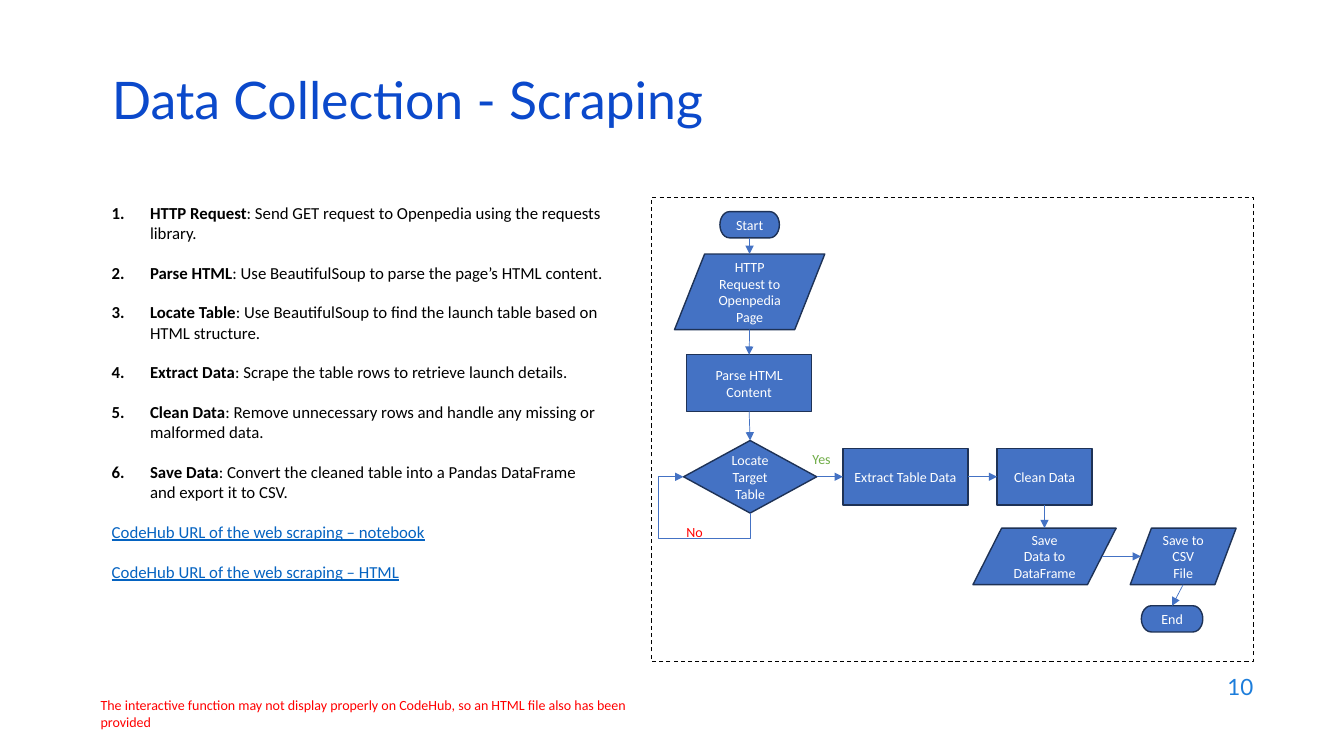
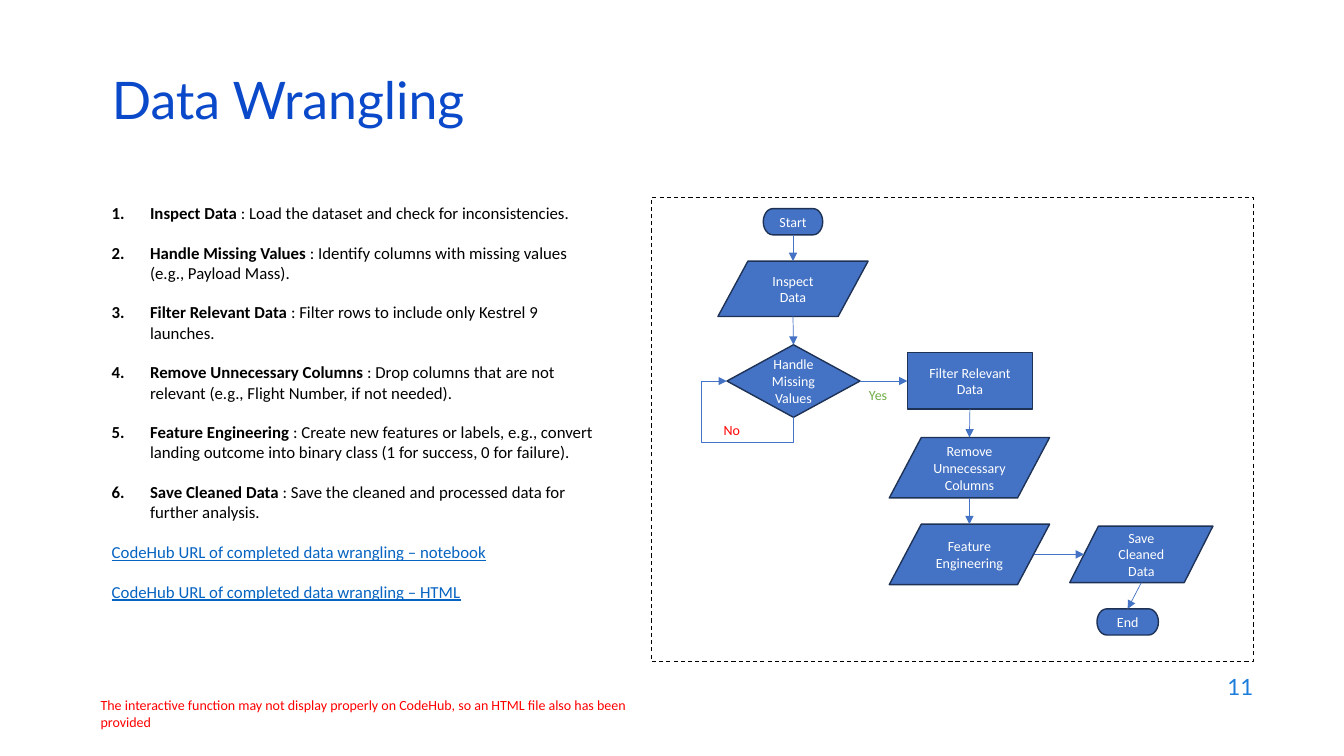
from lxml.etree import SubElement
from pptx import Presentation
from pptx.dml.color import RGBColor
from pptx.enum.dml import MSO_LINE
from pptx.enum.shapes import MSO_CONNECTOR as LINK, MSO_SHAPE as SHAPE
from pptx.enum.text import MSO_ANCHOR as ANCHOR, MSO_AUTO_SIZE as FIT, PP_ALIGN as ALIGN
from pptx.oxml.ns import qn
from pptx.util import Inches, Pt

# Colours
TITLE_BLUE = RGBColor(0x0B, 0x49, 0xCB)
NUMBER_BLUE = RGBColor(0x1C, 0x7D, 0xDB)
NODE_BLUE = RGBColor(0x44, 0x72, 0xC4)
NODE_EDGE = RGBColor(0x1E, 0x32, 0x56)
LINK_BLUE = RGBColor(0x05, 0x63, 0xC1)
BLACK = RGBColor(0, 0, 0)
WHITE = RGBColor(255, 255, 255)
RED = RGBColor(255, 0, 0)
GREEN = RGBColor(0x70, 0xAD, 0x47)

# Text formats
TITLE = {"name": "Lato", "size": Pt(37), "color": TITLE_BLUE}
NUMBER = {"name": "Lato", "size": Pt(16), "color": NUMBER_BLUE}
BODY = {"name": "Calibri", "size": Pt(12), "color": BLACK}
STRONG = {**BODY, "bold": True}
URL = {**BODY, "color": LINK_BLUE, "underline": True}
NODE = {"name": "Calibri", "size": Pt(10), "color": WHITE}
NOTE = {**NODE, "color": RED}
YES = {**NODE, "color": GREEN}

# Flowchart vocabulary
ENDPOINT = SHAPE.FLOWCHART_TERMINATOR
DATA = SHAPE.FLOWCHART_DATA
PROCESS = SHAPE.FLOWCHART_PROCESS
DECISION = SHAPE.FLOWCHART_DECISION
TOP, LEFT, BOTTOM, RIGHT = range(4)
SLANT = 0.1  # inset of a parallelogram's side at mid height
LOOP_GAP = 0.25

FOOTNOTE = ("The interactive function may not display properly on CodeHub, "
            "so an HTML file also has been provided")

# Content; nodes are kind, left, top, width, height, text
SLIDES = [
    {
        "title": "Data Collection - Scraping",
        "number": "10",
        "topic": "the web scraping",
        "steps": [
            ("HTTP Request", ": Send GET request to Openpedia using the requests library."),
            ("Parse HTML", ": Use BeautifulSoup to parse the page’s HTML content."),
            ("Locate Table", ": Use BeautifulSoup to find the launch table based on HTML structure."),
            ("Extract Data", ": Scrape the table rows to retrieve launch details."),
            ("Clean Data", ": Remove unnecessary rows and handle any missing or malformed data."),
            ("Save Data", ": Convert the cleaned table into a Pandas DataFrame and export it to CSV."),
        ],
        "nodes": {
            "start": (ENDPOINT, 7.14, 2.1, 0.59, 0.26, "Start"),
            "request": (DATA, 6.69, 2.52, 1.49, 0.75, "HTTP Request to Openpedia Page"),
            "parse": (PROCESS, 6.81, 3.52, 1.24, 0.56, "Parse HTML Content"),
            "decision": (DECISION, 6.78, 4.37, 1.32, 0.72, "Locate Target Table"),
            "extract": (PROCESS, 8.36, 4.45, 1.24, 0.56, "Extract Table Data"),
            "clean": (PROCESS, 9.89, 4.45, 0.94, 0.56, "Clean Data"),
            "frame": (DATA, 9.65, 5.24, 1.42, 0.56, "Save\nData to DataFrame"),
            "csv": (DATA, 11.21, 5.24, 1.05, 0.56, "Save to CSV File"),
            "end": (ENDPOINT, 11.32, 6.01, 0.61, 0.26, "End"),
        },
        "down": ["start request", "request parse", "parse decision", "clean frame", "csv end"],
        "across": ["decision extract", "extract clean", "frame csv"],
        "no": (6.71, 5.14),
        "yes": (7.96, 4.42),
    },
    {
        "title": "Data Wrangling",
        "number": "11",
        "topic": "completed data wrangling",
        "steps": [
            ("Inspect Data ", ": Load the dataset and check for inconsistencies."),
            ("Handle Missing Values ", ": Identify columns with missing values (e.g., Payload Mass)."),
            ("Filter Relevant Data ", ": Filter rows to include only Kestrel 9 launches."),
            ("Remove Unnecessary Columns ",
             ": Drop columns that are not relevant (e.g., Flight Number, if not needed)."),
            ("Feature Engineering ",
             ": Create new features or labels, e.g., convert landing outcome into binary class "
             "(1 for success, 0 for failure)."),
            ("Save Cleaned Data ", ": Save the cleaned and processed data for further analysis."),
        ],
        "nodes": {
            "start": (ENDPOINT, 7.57, 2.07, 0.59, 0.26, "Start"),
            "inspect": (DATA, 7.12, 2.59, 1.49, 0.55, "Inspect Data"),
            "decision": (DECISION, 7.21, 3.42, 1.32, 0.72, "Handle Missing Values"),
            "filter": (PROCESS, 9, 3.5, 1.24, 0.56, "Filter Relevant Data"),
            "remove": (DATA, 8.82, 4.34, 1.59, 0.6, "Remove Unnecessary Columns"),
            "feature": (DATA, 8.82, 5.2, 1.59, 0.6, "Feature Engineering"),
            "save": (DATA, 10.61, 5.22, 1.42, 0.56, "Save Cleaned Data"),
            "end": (ENDPOINT, 10.88, 6.04, 0.61, 0.26, "End"),
        },
        "down": ["start inspect", "inspect decision", "filter remove", "remove feature", "save end"],
        "across": ["decision filter", "feature save"],
        "no": (7.08, 4.13),
        "yes": (8.52, 3.79),
    },
]


def add_span(para, text, formats):
    """Add a run and apply a dict of font values."""
    span = para.add_run()
    span.text = text
    for name, value in formats.items():
        if name == "color":
            span.font.color.rgb = value
        else:
            setattr(span.font, name, value)


def add_arrow(page, first, first_side, second, second_side):
    """Draw a straight connector between two sides, joined where the side is straight."""
    points = []
    for node, side in ((first, first_side), (second, second_side)):
        inset = int(node.width * SLANT) if node.auto_shape_type == DATA else 0
        middle_x, middle_y = node.left + node.width // 2, node.top + node.height // 2
        points += {
            TOP: (middle_x, node.top),
            LEFT: (node.left + inset, middle_y),
            BOTTOM: (middle_x, node.top + node.height),
            RIGHT: (node.left + node.width - inset, middle_y),
        }[side]
    arrow = page.shapes.add_connector(LINK.STRAIGHT, *points)
    if first.auto_shape_type != DATA:
        arrow.begin_connect(first, first_side)
    if second.auto_shape_type != DATA:
        arrow.end_connect(second, second_side)
    return arrow


deck = Presentation()
deck.slide_width, deck.slide_height = Inches(13.33), Inches(7.5)

for content in SLIDES:
    page = deck.slides.add_slide(deck.slide_layouts[5])

    # Title
    title = page.shapes.title
    title.left, title.top, title.width, title.height = map(Inches, (1.01, 0.76, 11.5, 0.6))
    frame = title.text_frame
    for name, value in {"word_wrap": True, "auto_size": FIT.NONE,
                        "vertical_anchor": ANCHOR.MIDDLE}.items():
        setattr(frame, name, value)
    para = frame.paragraphs[0]
    para.alignment, para.line_spacing = ALIGN.LEFT, 0.7
    add_span(para, content["title"], TITLE)

    # Numbered steps and link lines
    box = page.shapes.add_textbox(*map(Inches, (1.01, 1.96, 5.09, 4.6)))
    box.text_frame.word_wrap = True
    lines = [[(head, STRONG), (rest, BODY)] for head, rest in content["steps"]]
    lines += [[(f"CodeHub URL of {content['topic']} – {kind}", URL)] for kind in ("notebook", "HTML")]
    for index, line in enumerate(lines):
        para = box.text_frame.add_paragraph() if index else box.text_frame.paragraphs[0]
        if index:
            para.space_before = Pt(14)
        if len(line) == 2:
            properties = para._p.get_or_add_pPr()
            properties.set("marL", str(Inches(0.38)))
            properties.set("indent", str(-Inches(0.38)))
            SubElement(properties, qn("a:buFont"), typeface="+mj-lt")
            SubElement(properties, qn("a:buAutoNum"), type="arabicPeriod")
        for text, formats in line:
            add_span(para, text, formats)

    # Dashed frame
    border = page.shapes.add_shape(SHAPE.RECTANGLE, *map(Inches, (6.46, 1.96, 5.97, 4.6)))
    border.shadow.inherit = False
    border.fill.background()
    border.line.color.rgb = BLACK
    border.line.width = Pt(0.75)
    border.line.dash_style = MSO_LINE.DASH

    # Flowchart nodes
    nodes = {}
    for key, (kind, *place, text) in content["nodes"].items():
        node = nodes[key] = page.shapes.add_shape(kind, *map(Inches, place))
        node.shadow.inherit = False
        node.fill.solid()
        node.fill.fore_color.rgb = NODE_BLUE
        node.line.color.rgb = NODE_EDGE
        node.line.width = Pt(1)
        frame = node.text_frame
        frame.word_wrap, frame.vertical_anchor = True, ANCHOR.MIDDLE
        for index, line in enumerate(text.split("\n")):
            para = frame.add_paragraph() if index else frame.paragraphs[0]
            para.alignment = ALIGN.CENTER
            add_span(para, line, NODE)

    # Straight arrows
    arrows = []
    for direction, out_side, in_side in (("down", BOTTOM, TOP), ("across", RIGHT, LEFT)):
        for pair in content[direction]:
            first, second = pair.split()
            arrows.append(add_arrow(page, nodes[first], out_side, nodes[second], in_side))

    # Loop from the bottom of the decision back to its left side
    decision = nodes["decision"]
    width, height = decision.height // 2, decision.width // 2
    left = decision.left + (decision.width // 2 - width) // 2
    top = decision.top + decision.height * 3 // 4 - height // 2
    loop = page.shapes.add_connector(LINK.ELBOW, left, top, left + width, top + height)
    outline = loop._element.spPr
    outline.xfrm.set("rot", "5400000")
    outline.xfrm.set("flipH", "1")
    geometry = outline.find(qn("a:prstGeom"))
    geometry.set("prst", "bentConnector4")
    adjustments = geometry.find(qn("a:avLst"))
    gap = Inches(LOOP_GAP)
    for name, share in (("adj1", -gap / width), ("adj2", 1 + gap / height)):
        SubElement(adjustments, qn("a:gd"), name=name, fmla=f"val {round(share * 100000)}")
    arrows.append(loop)

    for arrow in arrows:
        arrow.line.color.rgb = NODE_BLUE
        arrow.line.width = Pt(0.5)
        SubElement(arrow.line._get_or_add_ln(), qn("a:tailEnd"), type="triangle")
        SubElement(arrow._element.spPr, qn("a:effectLst"))

    # Branch labels, footnote and page number
    for text, place, formats in (
        ("No", (*content["no"], 0.37, 0.27), NOTE),
        ("Yes", (*content["yes"], 0.39, 0.27), YES),
        (FOOTNOTE, (0.9, 6.86, 5.87, 0.44), NOTE),
        (content["number"], (9.53, 6.59, 3, 0.44), NUMBER),
    ):
        box = page.shapes.add_textbox(*map(Inches, place))
        box.text_frame.word_wrap = formats is NUMBER
        para = box.text_frame.paragraphs[0]
        if formats is NUMBER:
            box.text_frame.vertical_anchor = ANCHOR.MIDDLE
            para.alignment = ALIGN.RIGHT
        add_span(para, text, formats)

deck.save("out.pptx")
